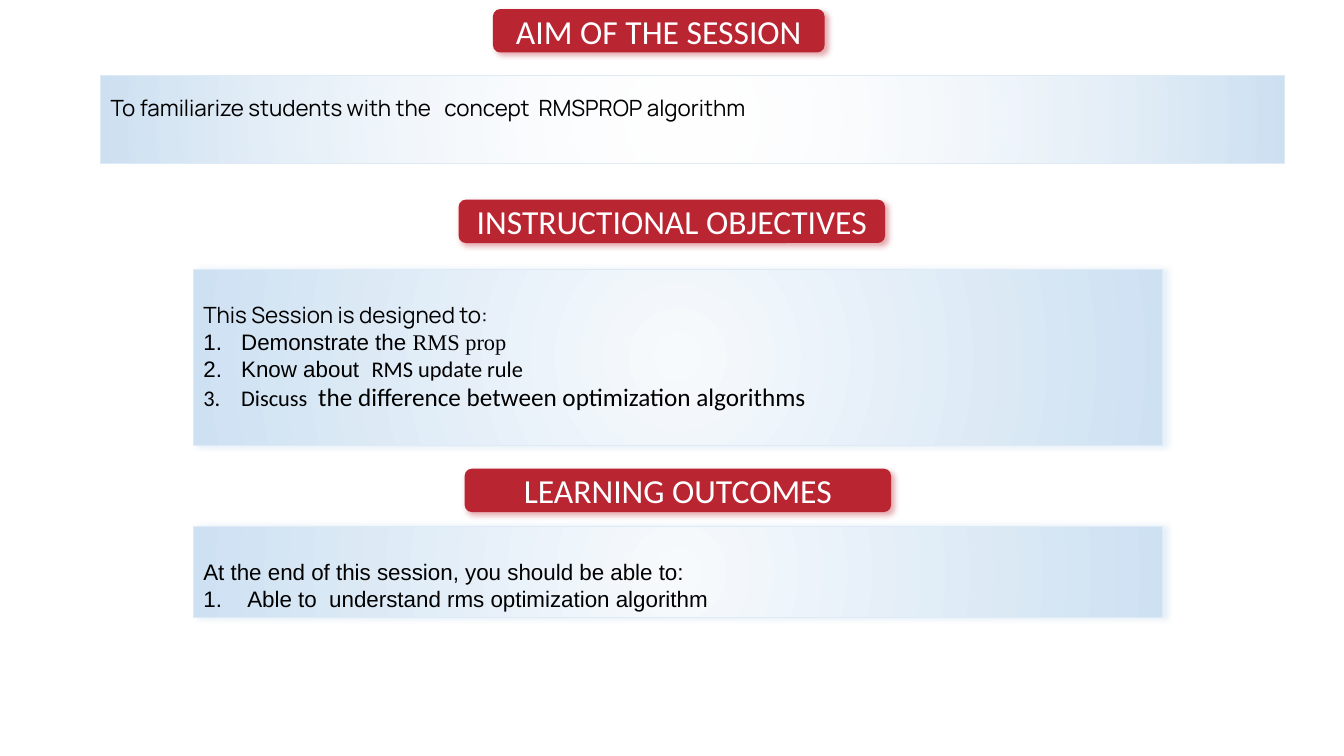
"""Build a session slide with its aim, instructional objectives and learning outcomes."""
from lxml import etree
from pptx import Presentation
from pptx.dml.color import RGBColor
from pptx.enum.shapes import MSO_SHAPE
from pptx.enum.text import MSO_ANCHOR, PP_ALIGN
from pptx.oxml import parse_xml
from pptx.oxml.ns import nsdecls, qn
from pptx.util import Pt

ROUNDED, RECTANGLE = MSO_SHAPE.ROUNDED_RECTANGLE, MSO_SHAPE.RECTANGLE
MIDDLE, TOP = MSO_ANCHOR.MIDDLE, MSO_ANCHOR.TOP
CENTER, LEFT = PP_ALIGN.CENTER, PP_ALIGN.LEFT
RED = RGBColor(0xBA, 0x25, 0x32)
WHITE = RGBColor(0xFF, 0xFF, 0xFF)
BLACK = RGBColor(0x00, 0x00, 0x00)
PALE_BLUE = RGBColor(0xF7, 0xFA, 0xFD)
LIGHT_BLUE = RGBColor(0xCE, 0xE1, 0xF2)
BORDER_BLUE = RGBColor(0xDE, 0xEB, 0xF7)
SHADOW_BLUE = RGBColor(0xBD, 0xD7, 0xEE)

HEADING_HEIGHT = 31
HEADING_FORMAT = {"name": "Calibri", "size": Pt(24)}
MANROPE = {"name": "Manrope", "size": Pt(16)}
ARIAL = {"name": "Arial", "size": Pt(16)}
TIMES = {"name": "Times New Roman", "size": Pt(16)}
CALIBRI = {"name": "Calibri", "size": Pt(16)}
CALIBRI_LARGE = {"name": "Calibri", "size": Pt(18)}

SECTIONS = [
    {"heading": "AIM OF THE SESSION", "heading_at": (352.1, 6.5, 236.9),
     "panel_at": (72, 54, 845.3, 62.6), "center_alpha": 0, "panel_shadow": False,
     "intro": ("To familiarize students with the   concept  RMSPROP algorithm", MANROPE),
     "spacing": 1.5, "indent": 0, "items": []},
    {"heading": "INSTRUCTIONAL OBJECTIVES", "heading_at": (327.6, 142.6, 304.6),
     "panel_at": (138.2, 192.2, 691.9, 126), "center_alpha": 100, "panel_shadow": True,
     "intro": ("This Session is designed to:", MANROPE),
     "spacing": 2, "indent": 27,
     "items": [
         [("Demonstrate the ", ARIAL), ("RMS prop", TIMES)],
         [("Know about  ", ARIAL), ("RMS update rule", CALIBRI)],
         [("Discuss ", CALIBRI),
          (" the difference between optimization algorithms", CALIBRI_LARGE)]]},
    {"heading": "LEARNING OUTCOMES", "heading_at": (331.9, 334.8, 304.6),
     "panel_at": (138.2, 375.8, 691.9, 65.5), "center_alpha": 100, "panel_shadow": True,
     "intro": ("At the end of this session, you should be able to:", ARIAL),
     "spacing": 2, "indent": 31.4,
     "items": [[("Able to  understand rms optimization algorithm", ARIAL)]]},
]


def add_box(kind, bounds, anchor, shadow_color, shadow_degrees):
    box = slide.shapes.add_shape(kind, *[Pt(length) for length in bounds])
    box.shadow.inherit = False
    box.text_frame.word_wrap = True
    box.text_frame.vertical_anchor = anchor
    if shadow_color is not None:
        effects = box._element.spPr.find(qn("a:effectLst"))
        effects.append(parse_xml(
            f'<a:outerShdw {nsdecls("a")} blurRad="{Pt(4)}" dist="{Pt(3)}" '
            f'dir="{shadow_degrees * 60000}" algn="tl" rotWithShape="0">'
            f'<a:srgbClr val="{shadow_color}"><a:alpha val="40000"/></a:srgbClr>'
            '</a:outerShdw>'))
    return box


def add_run(paragraph, text, text_format, color):
    run = paragraph.add_run()
    run.text = text
    for attribute, value in text_format.items():
        setattr(run.font, attribute, value)
    run.font.color.rgb = color


prs = Presentation()
prs.slide_width, prs.slide_height = Pt(960), Pt(540)
slide = prs.slides.add_slide(prs.slide_layouts[6])

for section in SECTIONS:
    heading = add_box(ROUNDED, (*section["heading_at"], HEADING_HEIGHT), MIDDLE, RED, 45)
    heading.fill.solid()
    heading.fill.fore_color.rgb = RED
    heading.line.fill.background()
    title = heading.text_frame.paragraphs[0]
    title.alignment = CENTER
    add_run(title, section["heading"], HEADING_FORMAT, WHITE)

    panel_shadow = SHADOW_BLUE if section["panel_shadow"] else None
    panel = add_box(RECTANGLE, section["panel_at"], TOP, panel_shadow, 0)
    panel.line.color.rgb = BORDER_BLUE
    panel.line.width = Pt(0.75)
    panel.fill.background()
    properties = panel._element.spPr
    properties.replace(properties.find(qn("a:noFill")), parse_xml(
        f'<a:gradFill {nsdecls("a")} rotWithShape="1"><a:gsLst>'
        f'<a:gs pos="0"><a:srgbClr val="{PALE_BLUE}">'
        f'<a:alpha val="{section["center_alpha"] * 1000}"/></a:srgbClr></a:gs>'
        f'<a:gs pos="100000"><a:srgbClr val="{LIGHT_BLUE}"/></a:gs></a:gsLst>'
        '<a:path path="circle">'
        '<a:fillToRect l="50000" t="50000" r="50000" b="50000"/></a:path></a:gradFill>'))

    intro = panel.text_frame.paragraphs[0]
    intro.alignment = LEFT
    intro.line_spacing = section["spacing"]
    add_run(intro, *section["intro"], BLACK)
    for item in section["items"]:
        numbered = panel.text_frame.add_paragraph()
        numbered.alignment = LEFT
        numbering = numbered._p.get_or_add_pPr()
        numbering.set("marL", str(Pt(section["indent"])))
        numbering.set("indent", str(-Pt(section["indent"])))
        etree.SubElement(numbering, qn("a:buAutoNum"), type="arabicPeriod")
        for text, text_format in item:
            add_run(numbered, text, text_format, BLACK)

prs.save("out.pptx")
